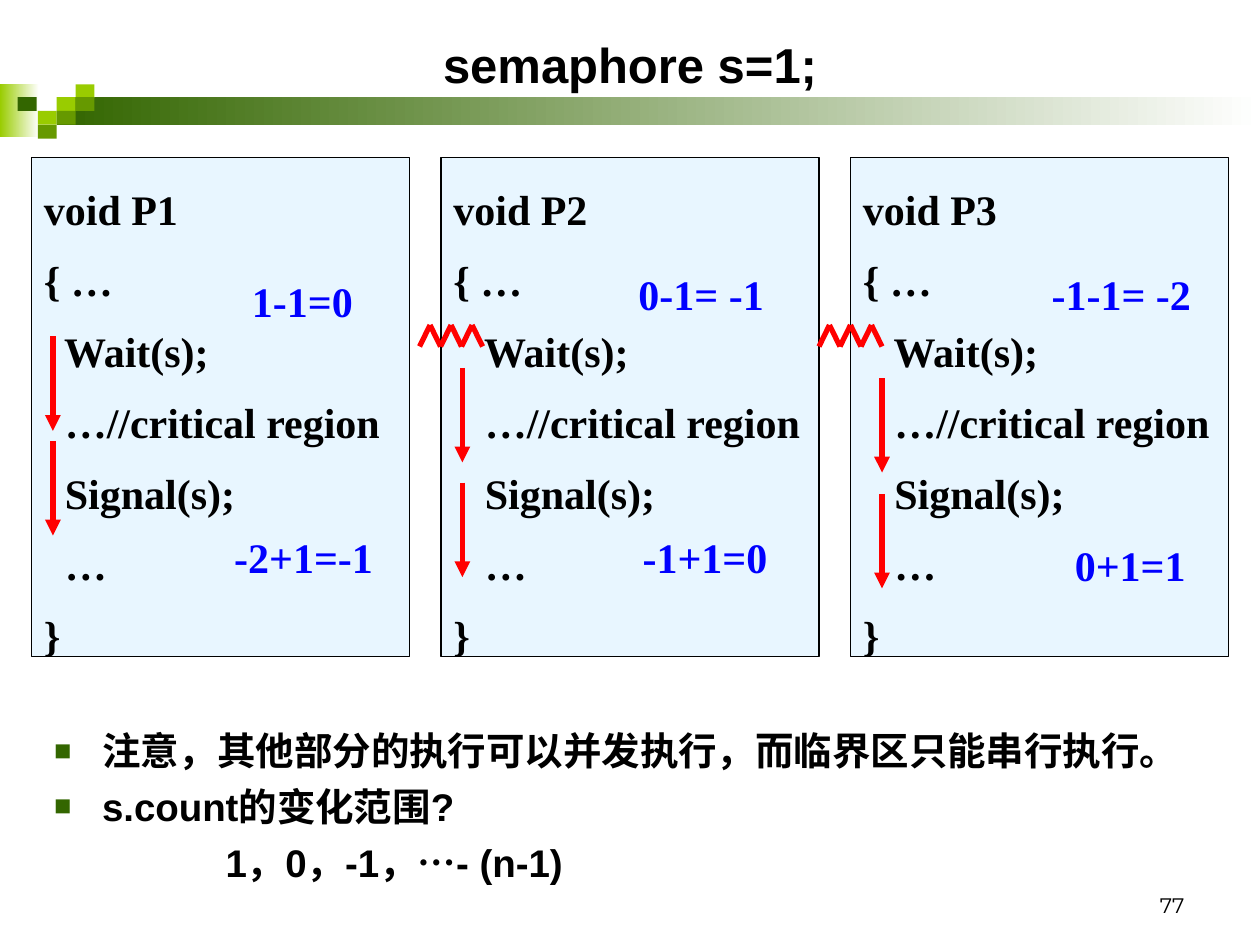
from lxml import etree
from pptx import Presentation
from pptx.dml.color import RGBColor
from pptx.enum.shapes import MSO_CONNECTOR, MSO_SHAPE
from pptx.enum.text import MSO_ANCHOR, MSO_AUTO_SIZE, PP_ALIGN
from pptx.oxml.ns import qn
from pptx.util import Inches, Pt

RECTANGLE, STRAIGHT = MSO_SHAPE.RECTANGLE, MSO_CONNECTOR.STRAIGHT
LEFT, CENTER, RIGHT = PP_ALIGN.LEFT, PP_ALIGN.CENTER, PP_ALIGN.RIGHT
TOP, MIDDLE, BOTTOM = MSO_ANCHOR.TOP, MSO_ANCHOR.MIDDLE, MSO_ANCHOR.BOTTOM
NO_AUTOFIT = MSO_AUTO_SIZE.NONE

COLORS = {
    "ink": "000000", "white": "FFFFFF", "panel": "CCECFF", "count": "0000FF",
    "flow": "FF0000", "lime": "99CC00", "green": "669900", "forest": "336600",
}
SANS, SERIF, NUMBER = "Arial", "Times New Roman", "Montserrat"


def rgb(name):
    return RGBColor.from_string(COLORS[name])


def add_child(parent, tag, **attributes):
    return etree.SubElement(parent, qn(tag), attributes)


def write_text(frame, lines, font=SERIF, size=24, color="ink", bold=True,
               align=LEFT, anchor=TOP, before=0, spacing=1.0, wrap=True, inset=0.05):
    frame.word_wrap = wrap
    frame.auto_size = NO_AUTOFIT
    frame.vertical_anchor = anchor
    frame.margin_top = Inches(inset)
    frame.text = "\n".join(lines)
    for index, para in enumerate(frame.paragraphs):
        para.alignment = align
        para.line_spacing = spacing
        para.space_before = Pt(before if index else 0)
        for span in para.runs:
            span.font.name = font
            span.font.size = Pt(size)
            span.font.bold = bold
            span.font.color.rgb = rgb(color)


def set_indent(para, margin, first=0.0, bullet=None):
    properties = para._p.get_or_add_pPr()
    properties.set("marL", str(Inches(margin)))
    properties.set("indent", str(Inches(first)))
    if bullet:
        color = add_child(properties, "a:buClr")
        add_child(color, "a:srgbClr", val=COLORS["forest"])
        add_child(properties, "a:buSzPct", val="75000")
        add_child(properties, "a:buFont", typeface=SANS)
        add_child(properties, "a:buChar", char=bullet)
    else:
        add_child(properties, "a:buNone")


class SlideBuilder:
    """Holds the current slide and draws its elements in one style."""

    def __init__(self, deck):
        self.slide = deck.slides.add_slide(deck.slide_layouts[1])
        self.shapes = self.slide.shapes

    def rectangle(self, left, top, width, height, color, fade=False):
        box = self.shapes.add_shape(RECTANGLE, Inches(left), Inches(top),
                                    Inches(width), Inches(height))
        box.shadow.inherit = False
        box.line.fill.background()
        if fade:
            box.fill.gradient()
            box.fill.gradient_angle = 0
            for stop, name in zip(box.fill.gradient_stops, (color, "white")):
                stop.color.rgb = rgb(name)
        else:
            box.fill.solid()
            box.fill.fore_color.rgb = rgb(color)
        return box

    def code_panel(self, left, lines):
        box = self.rectangle(left, 1.25, 3, 3.96, "panel")
        fill_color = box._element.spPr.find(qn("a:solidFill"))[0]
        add_child(fill_color, "a:alpha", val="45000")
        box.line.color.rgb = rgb("ink")
        box.line.width = Pt(0.75)
        write_text(box.text_frame, lines, before=6, spacing=1.2, inset=0.13)

    def label(self, left, top, width, text, height=0.5, **text_format):
        box = self.shapes.add_textbox(Inches(left), Inches(top),
                                      Inches(width), Inches(height))
        write_text(box.text_frame, [text], **text_format)

    def line(self, start, end, arrow=False):
        points = [Inches(value) for value in (*start, *end)]
        connector = self.shapes.add_connector(STRAIGHT, *points)
        connector.line.color.rgb = rgb("flow")
        connector.line.width = Pt(3)
        properties = connector._element.spPr
        if arrow:
            add_child(properties.find(qn("a:ln")), "a:tailEnd", type="triangle")
        add_child(properties, "a:effectLst")

    def zigzag(self, left, top=2.58, bottom=2.75, teeth=3):
        step = 1 / 12
        points = [(left + i * step, top if i % 2 else bottom)
                  for i in range(2 * teeth + 1)]
        for start, end in zip(points, points[1:]):
            self.line(start, end)

    def placeholder(self, index, left, top, width, height, lines, **text_format):
        box = self.slide.placeholders[index]
        box.left, box.top = Inches(left), Inches(top)
        box.width, box.height = Inches(width), Inches(height)
        write_text(box.text_frame, lines, font=SANS, **text_format)
        return box.text_frame.paragraphs


def add_banner(page):
    page.rectangle(0, 0.67, 0.31, 0.42, "lime", fade=True)
    page.rectangle(0.45, 0.77, 9.55, 0.22, "forest", fade=True)
    tiles = [(0.45, 0.77, "lime"), (0.6, 0.67, "lime"), (0.6, 0.77, "green"),
             (0.3, 0.88, "lime"), (0.14, 0.77, "forest"),
             (0.45, 0.88, "green"), (0.3, 0.99, "green")]
    for left, top, color in tiles:
        page.rectangle(left, top, 0.15, 0.11, color)


def add_processes(page):
    processes = [("P1", "  "), ("P2", "   "), ("P3", "   ")]
    body = ["Wait(s);", "…//critical region", "Signal(s);", "…"]
    for index, (name, indent) in enumerate(processes):
        code = [f"void {name}", "{ …", *(indent + text for text in body), "}"]
        page.code_panel(0.25 + 3.25 * index, code)

    counts = [(1.9, 2.14, 1, "1-1=0"), (4.97, 2.08, 1.19, "0-1= -1"),
              (8.25, 2.08, 1.3, "-1-1= -2"), (1.76, 4.17, 1.3, "-2+1=-1"),
              (5, 4.17, 1.19, "-1+1=0"), (8.43, 4.23, 1.08, "0+1=1")]
    for left, top, width, text in counts:
        page.label(left, top, width, text, color="count", align=CENTER, wrap=False)

    arrows = [(0.42, 2.67), (0.42, 3.5), (3.67, 2.92), (3.67, 3.83), (7, 3), (7, 3.92)]
    for x, top in arrows:
        page.line((x, top), (x, top + 0.75), arrow=True)
    for left in (3.33, 6.5):
        page.zigzag(left)


def main():
    deck = Presentation()
    deck.slide_width, deck.slide_height = Inches(10), Inches(7.5)
    page = SlideBuilder(deck)
    add_banner(page)
    page.placeholder(0, 0.5, 0.17, 9, 0.67, ["semaphore s=1;"],
                     size=28, align=CENTER, anchor=MIDDLE)
    add_processes(page)
    notes = ["注意，其他部分的执行可以并发执行，而临界区只能串行执行。",
             "s.count的变化范围?", "1，0，-1，…- (n-1)"]
    *questions, answer = page.placeholder(1, 0.33, 5.64, 9.25, 1.61, notes,
                                          size=22, before=5.5, inset=0.13)
    for para in questions:
        set_indent(para, 0.38, -0.38, bullet="■")
    set_indent(answer, 1.36)
    page.label(7.17, 6.83, 2.33, "77", font=NUMBER, size=12, bold=False,
               align=RIGHT, anchor=BOTTOM)
    deck.save("out.pptx")


if __name__ == "__main__":
    main()
